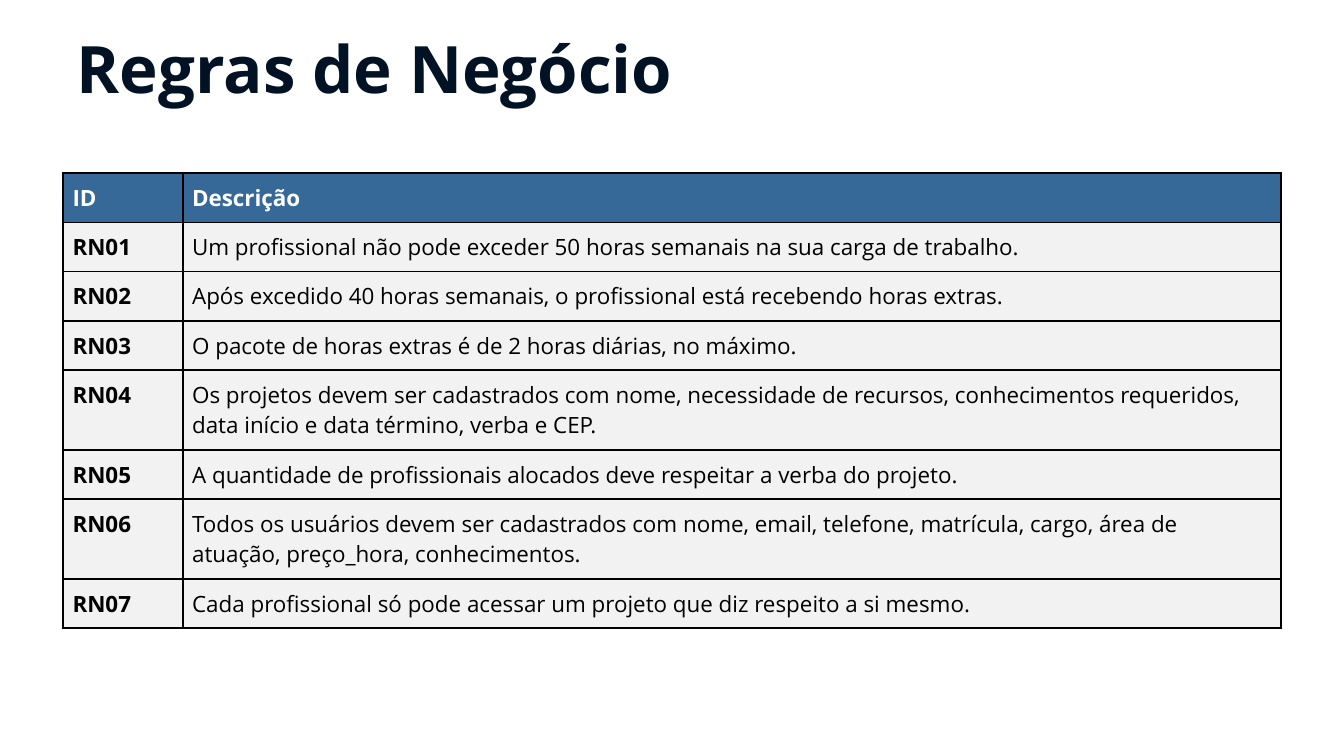
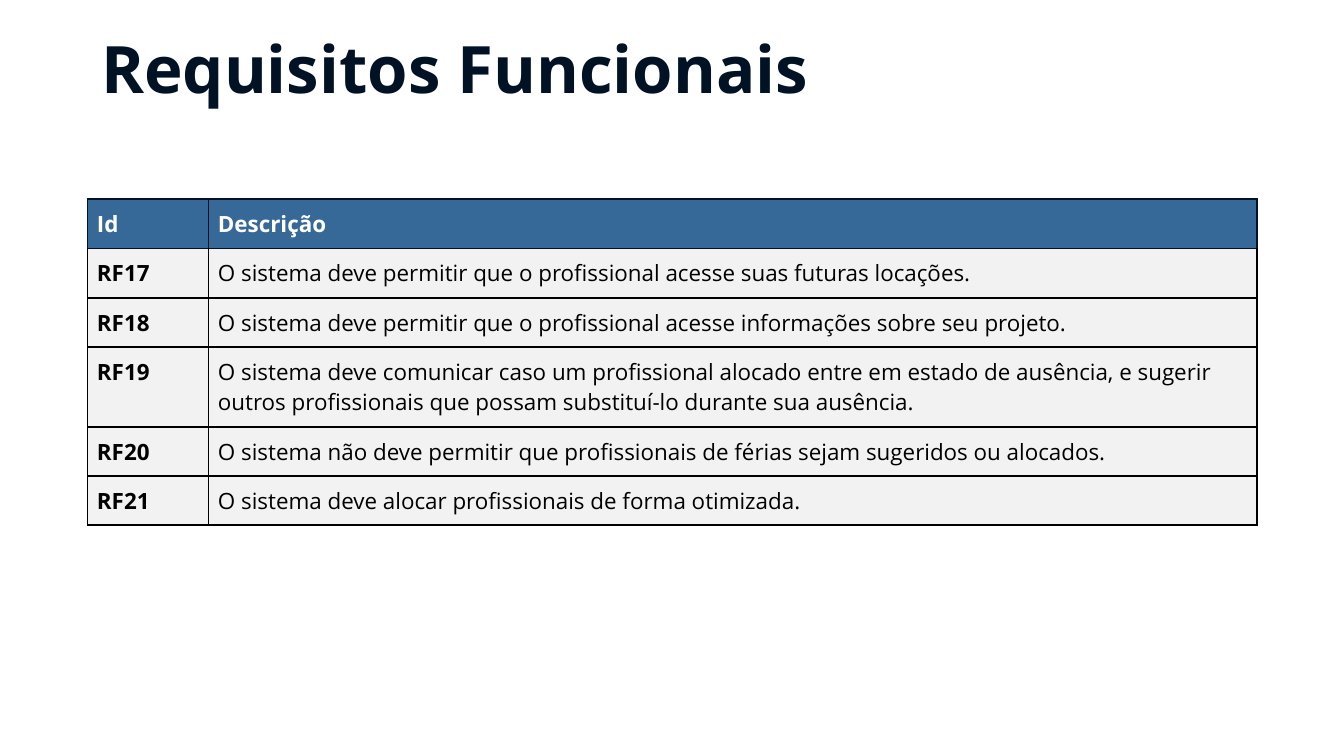
from dataclasses import dataclass

from lxml import etree
from pptx import Presentation
from pptx import util as u
from pptx.dml.color import RGBColor
from pptx.enum import text
from pptx.oxml.ns import qn

FONT = "Open Sans"
NAVY, BLUE, GREY, WHITE, BLACK = "011225", "376998", "F2F2F2", "FFFFFF", "000000"

# The 16:9 slide is a grid of 100 columns by 100 rows.
WIDTH = u.Inches(10)
HEIGHT = WIDTH * 9 // 16
TITLE_TOP, TITLE_WIDE, TITLE_HIGH = 3.3, 68.9, 11.2
ROW_HIGH = 6.4  # least height: rows grow with their text
PAD = u.Inches(0.07)
TITLE_PAD = u.Inches(0.1)


@dataclass(frozen=True)
class Page:
    title: str
    left: float
    top: float
    cols: tuple[float, float]
    edge: str  # border colour of the header row
    head: tuple[str, str]
    prefix: str
    first: int
    rules: tuple[str, ...]


PAGES = (
    Page(
        "Regras de Negócio", 4.7, 22.9, (8.9, 81.7), BLACK,
        ("ID", "Descrição"), "RN", 1,
        (
            "Um profissional não pode exceder 50 horas semanais na sua carga de trabalho.",
            "Após excedido 40 horas semanais, o profissional está recebendo horas extras.",
            "O pacote de horas extras é de 2 horas diárias, no máximo.",
            "Os projetos devem ser cadastrados com nome, necessidade de recursos, "
            "conhecimentos requeridos, data início e data término, verba e CEP.",
            "A quantidade de profissionais alocados deve respeitar a verba do projeto.",
            "Todos os usuários devem ser cadastrados com nome, email, telefone, "
            "matrícula, cargo, área de atuação, preço_hora, conhecimentos.",
            "Cada profissional só pode acessar um projeto que diz respeito a si mesmo.",
        ),
    ),
    Page(
        "Requisitos Funcionais", 6.52, 26.35, (9, 78), NAVY,
        ("Id", "Descrição"), "RF", 17,
        (
            "O sistema deve permitir que o profissional acesse suas futuras locações.",
            "O sistema deve permitir que o profissional acesse informações sobre seu projeto.",
            "O sistema deve comunicar caso um profissional alocado entre em estado de "
            "ausência, e sugerir outros profissionais que possam substituí-lo durante "
            "sua ausência.",
            "O sistema não deve permitir que profissionais de férias sejam sugeridos "
            "ou alocados.",
            "O sistema deve alocar profissionais de forma otimizada.",
        ),
    ),
)


def across(cols: float) -> int:
    return round(WIDTH * cols / 100)


def down(rows: float) -> int:
    return round(HEIGHT * rows / 100)


def color(code: str) -> RGBColor:
    return RGBColor.from_string(code)


def style(para, size: float, code: str, bold: bool) -> None:
    font = para.font
    font.name, font.size, font.bold = FONT, u.Pt(size), bold
    font.color.rgb = color(code)


def border(cell, top: str, rest: str) -> None:
    """Draw 1 pt lines on all sides; they must precede the fill in the XML."""
    props = cell._tc.get_or_add_tcPr()
    for spot, side in enumerate("LRTB"):
        line = etree.Element(qn(f"a:ln{side}"), w=str(u.Pt(1)))
        fill = etree.SubElement(line, qn("a:solidFill"))
        etree.SubElement(fill, qn("a:srgbClr"), val=top if side == "T" else rest)
        props.insert(spot, line)


def fill_cell(cell, words: str, back: str, ink: str, bold: bool) -> None:
    cell.text = words
    cell.margin_left = cell.margin_right = PAD
    cell.margin_top = cell.margin_bottom = PAD
    cell.fill.solid()
    cell.fill.fore_color.rgb = color(back)
    style(cell.text_frame.paragraphs[0], 12, ink, bold)


def add_title(slide, page: Page) -> None:
    title = slide.shapes.title
    title.left, title.top = across(page.left), down(TITLE_TOP)
    title.width, title.height = across(TITLE_WIDE), down(TITLE_HIGH)
    frame = title.text_frame
    frame.text = page.title
    frame.word_wrap = True
    frame.auto_size = text.MSO_AUTO_SIZE.NONE
    frame.vertical_anchor = text.MSO_ANCHOR.MIDDLE
    frame.margin_left = frame.margin_right = TITLE_PAD
    frame.margin_top = frame.margin_bottom = TITLE_PAD
    para = frame.paragraphs[0]
    para.alignment = text.PP_ALIGN.LEFT
    style(para, 35, NAVY, True)


def add_rules(slide, page: Page) -> None:
    rows = [page.head]
    rows += [(f"{page.prefix}{n:02}", rule) for n, rule in enumerate(page.rules, page.first)]
    table = slide.shapes.add_table(
        len(rows), len(page.cols), across(page.left), down(page.top),
        across(sum(page.cols)), down(ROW_HIGH * len(rows)),
    ).table
    table.horz_banding = False
    for col, wide in zip(table.columns, page.cols):
        col.width = across(wide)
    for r, row in enumerate(rows):
        back, ink = (GREY, BLACK) if r else (BLUE, WHITE)
        for c, words in enumerate(row):
            cell = table.cell(r, c)
            fill_cell(cell, words, back, ink, bold=r == 0 or c == 0)
            border(cell, page.edge if r < 2 else BLACK, BLACK if r else page.edge)


def main() -> None:
    deck = Presentation()
    deck.slide_width, deck.slide_height = WIDTH, HEIGHT
    layout = deck.slide_layouts.get_by_name("Title Only")
    for page in PAGES:
        slide = deck.slides.add_slide(layout)
        add_title(slide, page)
        add_rules(slide, page)
    deck.save("out.pptx")


if __name__ == "__main__":
    main()
